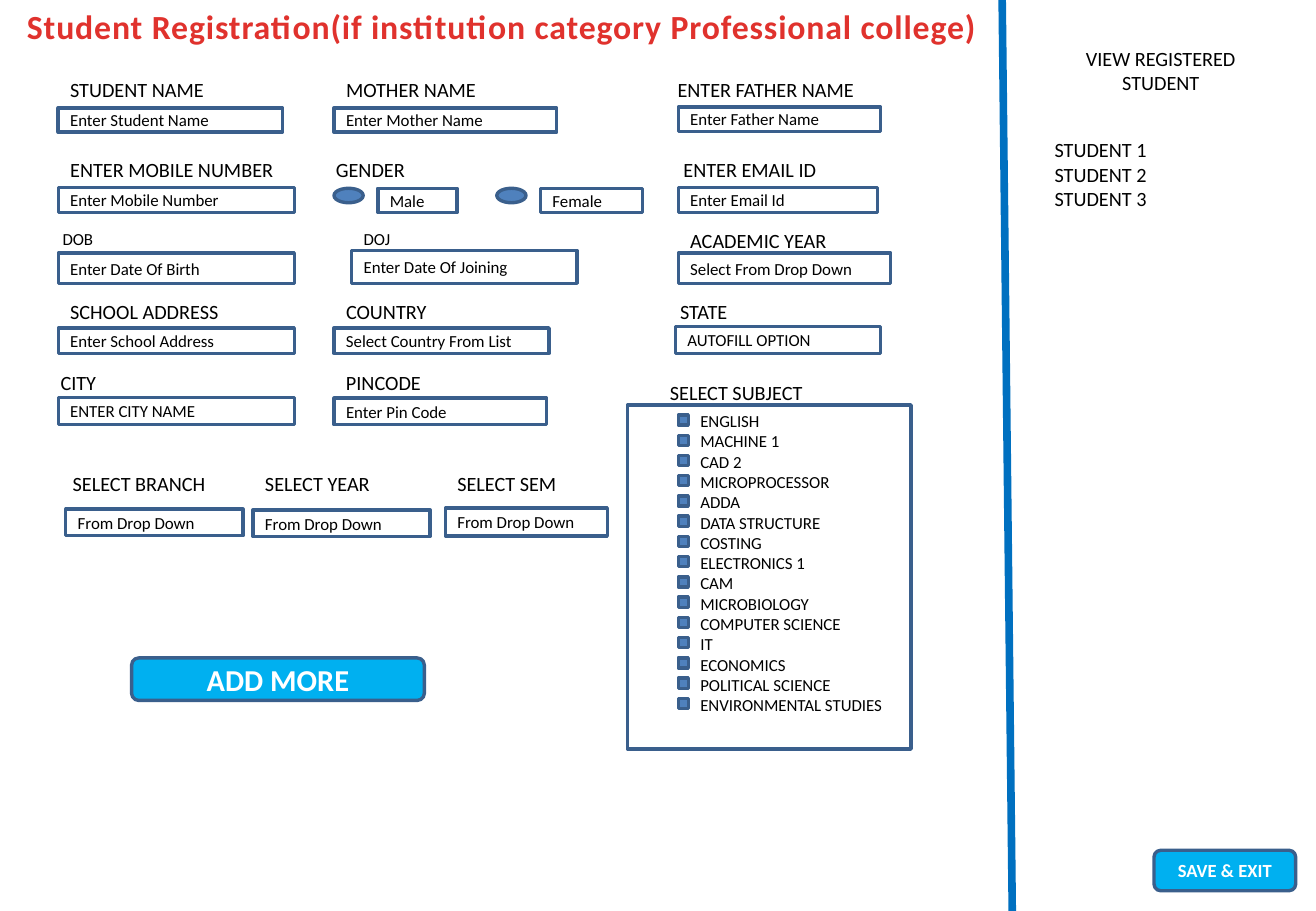
from pptx import Presentation
from pptx.dml.color import RGBColor
from pptx.enum.shapes import MSO_CONNECTOR, MSO_SHAPE
from pptx.enum.text import MSO_ANCHOR, MSO_AUTO_SIZE, PP_ALIGN
from pptx.util import Pt
from lxml.etree import SubElement
from pptx.oxml.ns import qn

BLACK = RGBColor(0x00, 0x00, 0x00)
WHITE = RGBColor(0xFF, 0xFF, 0xFF)
RED = RGBColor(0xE0, 0x32, 0x2D)
OUTLINE = RGBColor(0x3A, 0x5F, 0x8C)
MARKER = RGBColor(0x4F, 0x81, 0xBD)
BUTTON = RGBColor(0x00, 0xB0, 0xF0)
DIVIDER = RGBColor(0x00, 0x70, 0xC0)

# Label, its left, top, width and size; prompt, its box left, top, width, height
FIELDS = [
    ("STUDENT NAME", 34.5, 42.4, 133, 12, "Enter Student Name", 34.5, 64, 133, 14.4),
    ("MOTHER NAME", 198, 42.4, 126, 12, "Enter Mother Name", 198, 64, 132, 14.4),
    ("ENTER FATHER NAME", 394.5, 42, 140, 12, "Enter Father Name", 402, 63.5, 120, 14.4),
    ("ENTER MOBILE NUMBER", 34.5, 90, 145.5, 12, "Enter Mobile Number", 34.5, 111, 140, 15),
    ("ENTER EMAIL ID", 398, 90, 136, 12, "Enter Email Id", 402, 111, 118, 15),
    ("DOB", 30, 132, 144, 10, "Enter Date Of Birth", 34.5, 150, 140, 18),
    ("DOJ", 208.5, 132, 127.5, 10, "Enter Date Of Joining", 208.5, 148.5, 133.5, 19.5),
    ("ACADEMIC YEAR", 402, 132, 140, 12, "Select From Drop Down", 402, 150, 126, 18),
    ("SCHOOL ADDRESS", 34.5, 173.8, 133, 12, "Enter School Address", 34.5, 194.4, 140, 15),
    ("COUNTRY", 198, 173.8, 104, 12, "Select Country From List", 198, 194.4, 127.5, 15),
    ("STATE", 396, 173.8, 68, 12, "AUTOFILL OPTION", 400.4, 193.7, 121.6, 15.8),
    ("CITY", 28.8, 216, 145.5, 12, "ENTER CITY NAME", 34.5, 235.7, 140, 15.8),
    ("PINCODE", 198, 216, 88.5, 12, "Enter Pin Code", 198, 236, 126, 15.8),
    ("SELECT BRANCH", 36, 276, 144, 12, "From Drop Down", 39, 301.8, 105, 15.8),
    ("SELECT YEAR", 150, 276, 122.4, 12, "From Drop Down", 150, 302.3, 105, 15.8),
    ("SELECT SEM", 264, 276, 122.4, 12, "From Drop Down", 264, 301.2, 96, 16.5),
]
GENDERS = [("Male", 198, 224, 47), ("Female", 294.5, 320.4, 60.5)]
SUBJECTS = [
    "ENGLISH", "MACHINE 1", "CAD 2", "MICROPROCESSOR", "ADDA", "DATA STRUCTURE",
    "COSTING", "ELECTRONICS 1", "CAM", "MICROBIOLOGY", "COMPUTER SCIENCE", "IT",
    "ECONOMICS", "POLITICAL SCIENCE", "ENVIRONMENTAL STUDIES",
]
SUBJECT_PITCH = 12
STUDENTS = ["STUDENT 1", "STUDENT 2", "STUDENT 3"]


def write(frame, text, size, color=BLACK, bold=False, align=PP_ALIGN.LEFT):
    frame.text = text
    for paragraph in frame.paragraphs:
        paragraph.alignment = align
        for run in paragraph.runs:
            run.font.name = "Calibri"
            run.font.size = Pt(size)
            run.font.bold = bold
            run.font.color.rgb = color


def add_label(slide, text, left, top, width, height, size=12, wrap=True, **style):
    frame = slide.shapes.add_textbox(Pt(left), Pt(top), Pt(width), Pt(height)).text_frame
    frame.word_wrap = wrap
    frame.auto_size = MSO_AUTO_SIZE.SHAPE_TO_FIT_TEXT
    write(frame, text, size, **style)
    return frame


def add_outlined(slide, kind, left, top, width, height, fill):
    outlined = slide.shapes.add_shape(kind, Pt(left), Pt(top), Pt(width), Pt(height))
    outlined.shadow.inherit = False
    outlined.fill.solid()
    outlined.fill.fore_color.rgb = fill
    outlined.line.color.rgb = OUTLINE
    outlined.line.width = Pt(2)
    return outlined


def add_entry(slide, prompt, left, top, width, height):
    entry = add_outlined(slide, MSO_SHAPE.RECTANGLE, left, top, width, height, WHITE)
    entry.text_frame.vertical_anchor = MSO_ANCHOR.MIDDLE
    write(entry.text_frame, prompt, 10)


def add_button(slide, caption, left, top, width, height, size):
    button = add_outlined(slide, MSO_SHAPE.ROUNDED_RECTANGLE, left, top, width, height, BUTTON)
    button.text_frame.vertical_anchor = MSO_ANCHOR.MIDDLE
    write(button.text_frame, caption, size, WHITE, True, PP_ALIGN.CENTER)


def add_divider(slide):
    divider = slide.shapes.add_connector(MSO_CONNECTOR.STRAIGHT, Pt(594), Pt(0), Pt(600), Pt(540))
    divider.line.color.rgb = DIVIDER
    divider.line.width = Pt(4.5)
    SubElement(divider._element.spPr, qn("a:effectLst"))


def add_subjects(slide):
    add_outlined(slide, MSO_SHAPE.RECTANGLE, 372, 240, 168, 204, WHITE)
    add_label(slide, "SELECT SUBJECT", 390, 222, 140, 36)
    add_label(slide, "\n".join(SUBJECTS), 408, 240, 132, 189, size=10)
    for row in range(len(SUBJECTS)):
        add_outlined(slide, MSO_SHAPE.RECTANGLE, 402, 246 + row * SUBJECT_PITCH, 6, 6, MARKER)


def main():
    prs = Presentation()
    prs.slide_width, prs.slide_height = Pt(780), Pt(540)
    slide = prs.slides.add_slide(prs.slide_layouts[6])

    # Title
    title = add_label(slide, "Student Registration(if institution category Professional college)",
                      6.5, 0, 582, 31.5, size=20, wrap=False,
                      color=RED, bold=True, align=PP_ALIGN.CENTER)
    title.paragraphs[0].runs[0].font._element.set("spc", "50")

    # Form fields
    for label, x, y, width, size, prompt, *box in FIELDS:
        add_entry(slide, prompt, *box)
        add_label(slide, label, x, y, width, 21.6, size=size)

    # Gender choice
    add_label(slide, "GENDER", 192, 90, 96, 21.6)
    for gender, radio_left, entry_left, entry_width in GENDERS:
        add_outlined(slide, MSO_SHAPE.OVAL, radio_left, 111.6, 17.3, 8.6, MARKER)
        add_entry(slide, gender, entry_left, 111.6, entry_width, 14.4)

    # Subject list and buttons
    add_subjects(slide)
    add_button(slide, "ADD MORE", 78, 390, 173.5, 25.2, 18)
    add_button(slide, "SAVE & EXIT", 684, 504, 84, 24, 11)

    # Registered students
    add_divider(slide)
    add_label(slide, "VIEW REGISTERED STUDENT", 618, 24, 140, 36, align=PP_ALIGN.CENTER)
    add_label(slide, "\n".join(STUDENTS), 618, 78, 144, 51)

    prs.save("out.pptx")


if __name__ == "__main__":
    main()
